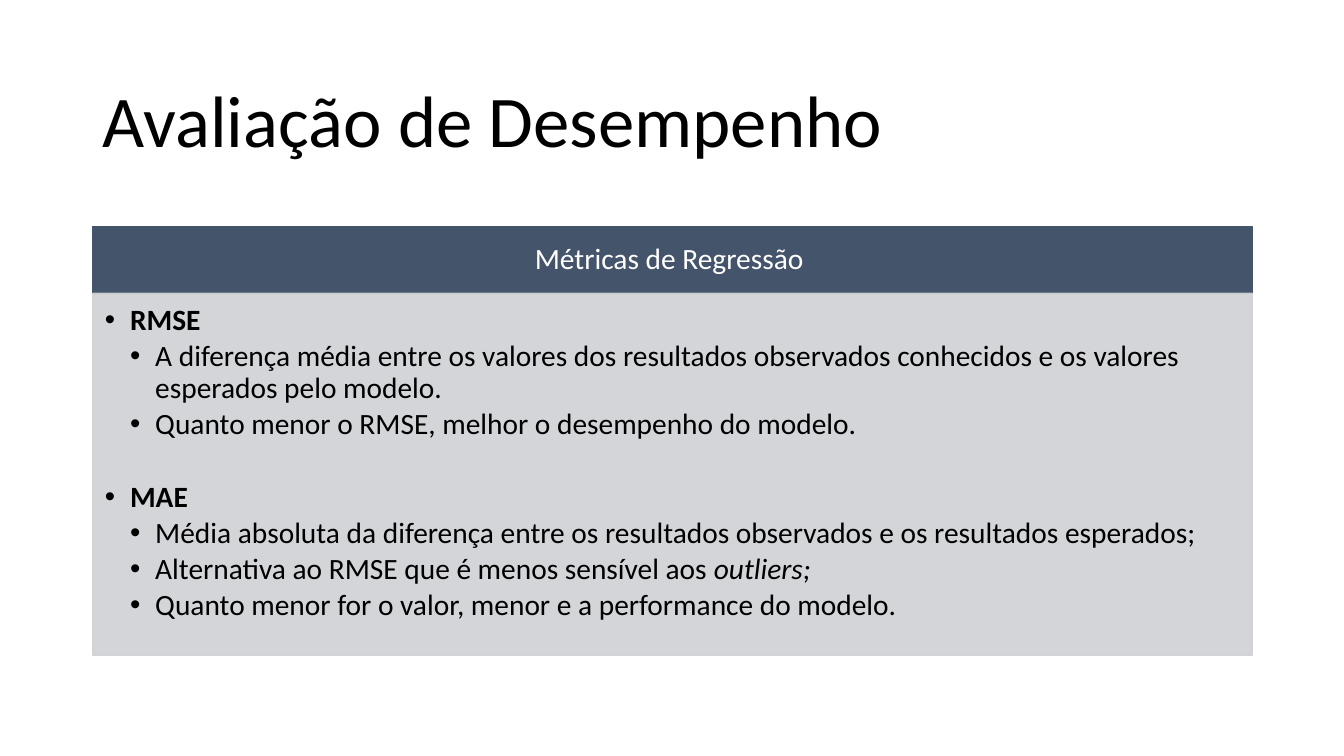
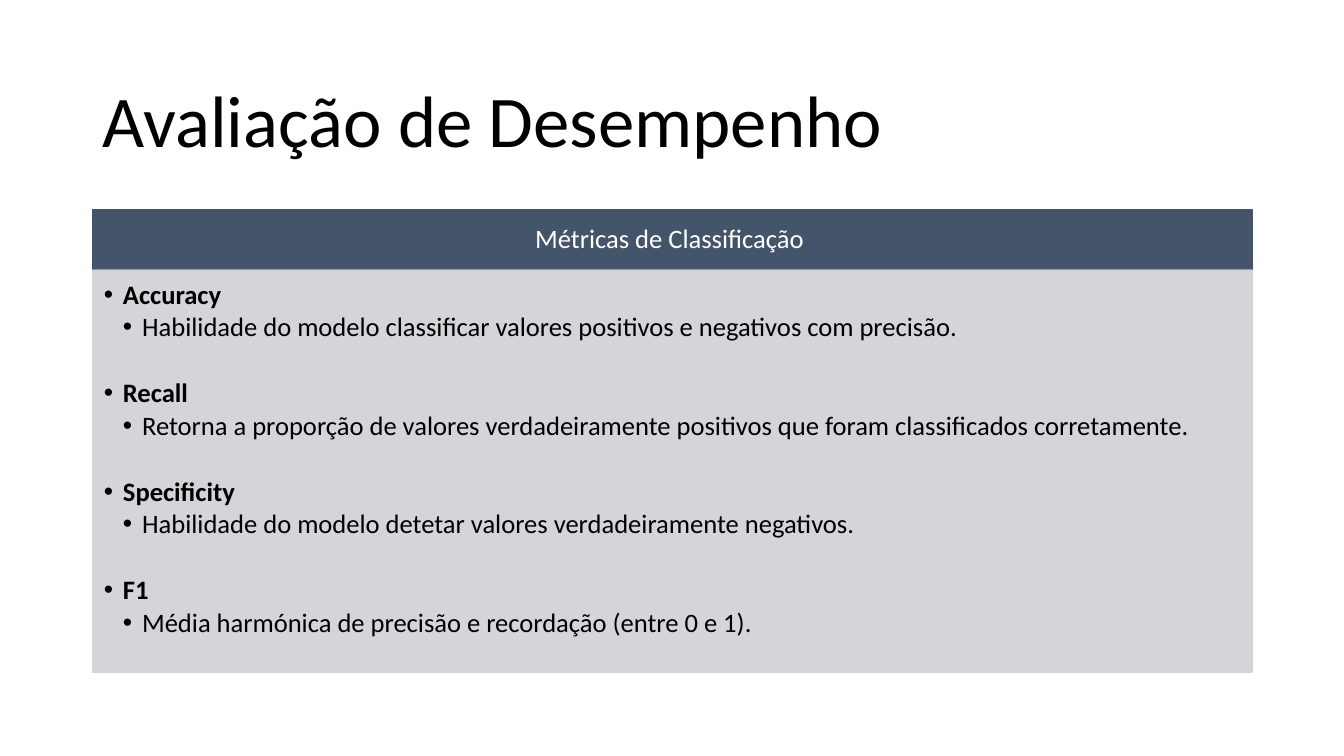
from dataclasses import dataclass

import pptx
import pptx.dml.color
import pptx.enum.shapes
import pptx.enum.text
import pptx.oxml.ns
import pptx.util
from lxml import etree

Inches = pptx.util.Inches
Pt = pptx.util.Pt
RGBColor = pptx.dml.color.RGBColor
Align = pptx.enum.text.PP_ALIGN
Anchor = pptx.enum.text.MSO_ANCHOR
qn = pptx.oxml.ns.qn


@dataclass(frozen=True)
class Theme:
    font: str = "Calibri"
    text: RGBColor = RGBColor(0x00, 0x00, 0x00)
    header_text: RGBColor = RGBColor(0xFF, 0xFF, 0xFF)
    header: RGBColor = RGBColor(0x44, 0x54, 0x6A)
    panel: RGBColor = RGBColor(0xCF, 0xD1, 0xD4)
    panel_opacity: int = 90
    title_size: int = 52
    line_spacing: float = 0.9
    space_after: float = 0.15
    topic_gap: float = 1.24
    left: float = 0.92
    width: float = 11.5


@dataclass(frozen=True)
class Span:
    text: str
    bold: bool = False
    italic: bool = False


@dataclass(frozen=True)
class Topic:
    name: str
    points: tuple[tuple[Span, ...], ...]


@dataclass(frozen=True)
class MetricsSlide:
    header: str
    topics: tuple[Topic, ...]
    top: float
    header_height: float
    panel_height: float
    size: int
    indent: float
    header_insets: tuple[float, float, float, float]
    panel_insets: tuple[float, float, float, float]


THEME = Theme()
TITLE = "Avaliação de Desempenho"
SLIDES = (
    MetricsSlide(
        "Métricas de Regressão ",
        (
            Topic("RMSE", (
                (Span("A diferença média entre os valores dos resultados observados "
                      "conhecidos e os valores esperados pelo modelo."),),
                (Span("Quanto menor o RMSE, melhor o desempenho do modelo."),),
            )),
            Topic("MAE", (
                (Span("Média absoluta da diferença entre os resultados observados "
                      "e os resultados esperados;"),),
                (Span("Alternativa ao RMSE que é menos sensível aos "),
                 Span("outliers;", italic=True)),
                (Span("Quanto menor for o valor, menor e a performance do modelo."),),
            )),
        ),
        top=2.25, header_height=0.66, panel_height=3.59, size=21, indent=0.25,
        header_insets=(0.16, 0.09, 0.16, 0.09),
        panel_insets=(0.12, 0.12, 0.16, 0.18),
    ),
    MetricsSlide(
        "Métricas de Classificação ",
        (
            Topic("Accuracy", (
                (Span("Habilidade do modelo classificar valores positivos e negativos "
                      "com precisão."),),
            )),
            Topic("Recall", (
                (Span("Retorna a proporção de valores verdadeiramente positivos que "
                      "foram classificados corretamente."),),
            )),
            Topic("Specificity", (
                (Span("Habilidade do modelo detetar valores verdadeiramente negativos."),),
            )),
            Topic("F1", (
                (Span("Média harmónica de precisão e recordação (entre 0 e 1)."),),
            )),
        ),
        top=2.08, header_height=0.6, panel_height=3.99, size=19, indent=0.19,
        header_insets=(0.15, 0.08, 0.15, 0.08),
        panel_insets=(0.11, 0.11, 0.15, 0.17),
    ),
)


def set_frame(frame, anchor: Anchor, insets: tuple[float, float, float, float]) -> None:
    frame.word_wrap = True
    frame.vertical_anchor = anchor
    (frame.margin_left, frame.margin_top,
     frame.margin_right, frame.margin_bottom) = map(Inches, insets)


def write(paragraph, spans: tuple[Span, ...], size: int, color: RGBColor,
          align: Align = Align.LEFT) -> None:
    paragraph.alignment = align
    paragraph.line_spacing = THEME.line_spacing
    for span in spans:
        run = paragraph.add_run()
        run.text = span.text
        run.font.name = THEME.font
        run.font.size = Pt(size)
        run.font.bold = span.bold
        run.font.italic = span.italic
        run.font.color.rgb = color


def add_bullet(paragraph, level: int, indent: float) -> None:
    paragraph.level = level
    properties = paragraph._p.get_or_add_pPr()
    properties.set("marL", str(Inches(indent * level)))
    properties.set("indent", str(-Inches(indent)))
    etree.SubElement(properties, qn("a:buFont"), typeface="Arial")
    etree.SubElement(properties, qn("a:buChar"), char="•")


def add_box(slide, top: float, height: float, color: RGBColor, opacity: int = 100):
    shape = slide.shapes.add_shape(
        pptx.enum.shapes.MSO_SHAPE.RECTANGLE,
        Inches(THEME.left), Inches(top), Inches(THEME.width), Inches(height))
    shape.shadow.inherit = False
    shape.fill.solid()
    shape.fill.fore_color.rgb = color
    shape.line.color.rgb = color
    shape.line.width = Pt(1)
    if opacity < 100:
        for tone in shape._element.spPr.iter(qn("a:srgbClr")):
            etree.SubElement(tone, qn("a:alpha"), val=str(opacity * 1000))
    return shape


def add_title(slide) -> None:
    box = slide.shapes.add_textbox(
        Inches(THEME.left), Inches(0.61), Inches(THEME.width), Inches(1.24))
    set_frame(box.text_frame, Anchor.MIDDLE, (0.1, 0.05, 0.1, 0.05))
    write(box.text_frame.paragraphs[0], (Span(TITLE),), THEME.title_size, THEME.text)


def add_header(slide, content: MetricsSlide) -> None:
    frame = add_box(slide, content.top, content.header_height, THEME.header).text_frame
    set_frame(frame, Anchor.MIDDLE, content.header_insets)
    write(frame.paragraphs[0], (Span(content.header),), content.size,
          THEME.header_text, Align.CENTER)


def add_panel(slide, content: MetricsSlide) -> None:
    frame = add_box(slide, content.top + content.header_height, content.panel_height,
                    THEME.panel, THEME.panel_opacity).text_frame
    set_frame(frame, Anchor.TOP, content.panel_insets)
    for number, topic in enumerate(content.topics):
        lines = ((Span(topic.name, bold=True),), *topic.points)
        for position, spans in enumerate(lines):
            first = number == 0 and position == 0
            paragraph = frame.paragraphs[0] if first else frame.add_paragraph()
            write(paragraph, spans, content.size, THEME.text)
            paragraph.space_after = Pt(content.size * THEME.space_after)
            if number > 0 and position == 0:
                paragraph.space_before = Pt(content.size * THEME.topic_gap)
            add_bullet(paragraph, min(position, 1) + 1, content.indent)
            paragraph.level = min(position, 1)


def main() -> None:
    presentation = pptx.Presentation()
    presentation.slide_width = Inches(13.33)
    presentation.slide_height = Inches(7.5)
    for content in SLIDES:
        slide = presentation.slides.add_slide(presentation.slide_layouts[6])
        add_title(slide)
        add_header(slide, content)
        add_panel(slide, content)
    presentation.save("out.pptx")


if __name__ == "__main__":
    main()
